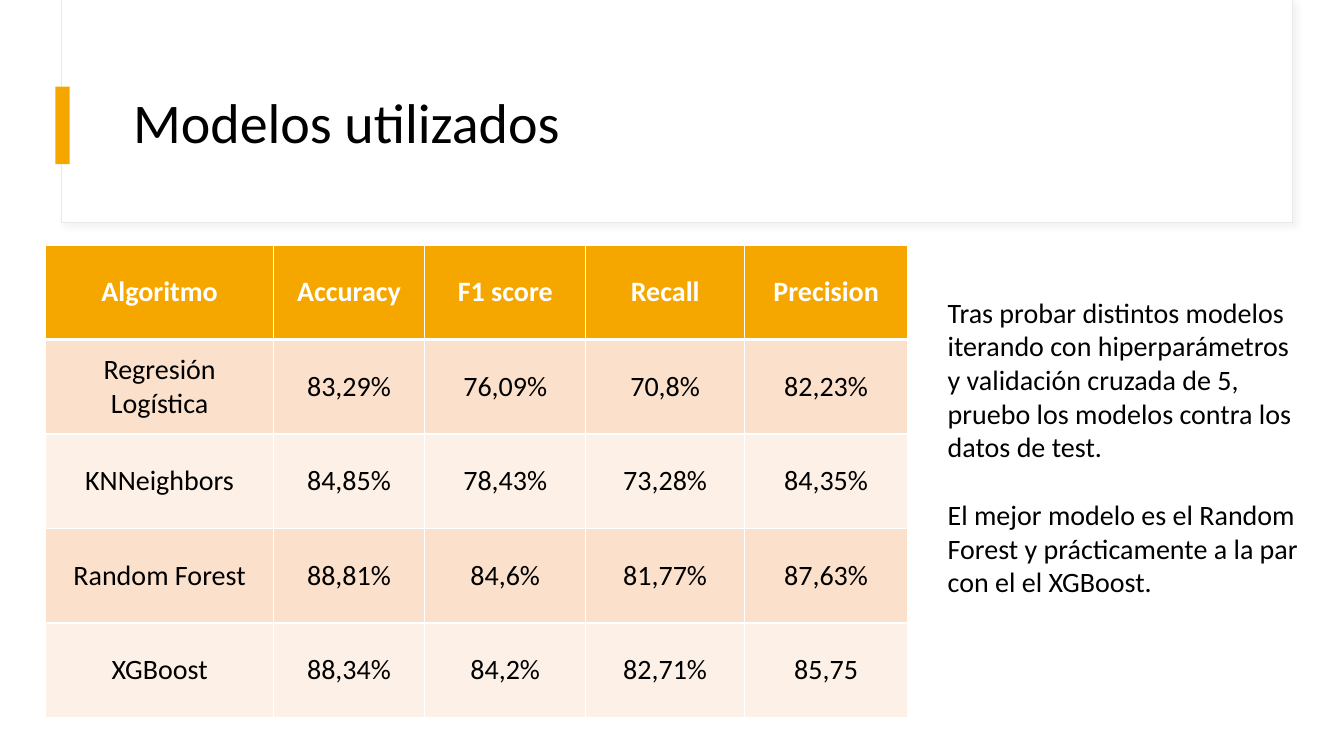
import collections
import pptx
import pptx.util
import pptx.dml.color
import pptx.enum.shapes
import pptx.enum.text
import pptx.oxml
import pptx.oxml.ns

Pt = pptx.util.Pt
Theme = collections.namedtuple(
    "Theme", "font ink paper gold peach cream edge shade big body")
theme = Theme("Calibri", "000000", "FFFFFF", "F5A700", "FBE1CC", "FDF1E7",
              "E9E9E9", "D9D9D9", 40, 20)
ROWS = [
    ["Algoritmo", "Accuracy", "F1 score", "Recall", "Precision"],
    ["Regresión Logística", "83,29%", "76,09%", "70,8%", "82,23%"],
    ["KNNeighbors", "84,85%", "78,43%", "73,28%", "84,35%"],
    ["Random Forest", "88,81%", "84,6%", "81,77%", "87,63%"],
    ["XGBoost", "88,34%", "84,2%", "82,71%", "85,75"],
]
COLS = [26.4, 17.55, 18.7, 18.4, 18.95]
NOTES = [
    "Tras probar distintos modelos iterando con hiperparámetros y validación "
    "cruzada de 5, pruebo los modelos contra los datos de test.",
    "El mejor modelo es el Random Forest y prácticamente a la par con el el "
    "XGBoost.",
]


def part(box, x, y, w, h):
    """Return the box at the given percentages of its parent box."""
    left, top, wide, high = box
    return (int(left + wide * x / 100), int(top + high * y / 100),
            int(wide * w / 100), int(high * h / 100))


def color(code):
    """Turn a hex code into a colour."""
    return pptx.dml.color.RGBColor.from_string(code)


def node(parent, tag, inner):
    """Append a drawing element written as XML."""
    space = pptx.oxml.ns.nsdecls("a")
    name = tag.split()[0]
    parent.append(pptx.oxml.parse_xml(f"<a:{tag} {space}>{inner}</a:{name}>"))


def write(para, text, size, ink, bold=False):
    """Add one styled run to a paragraph."""
    run = para.add_run()
    run.text = text
    run.font.name = theme.font
    run.font.size = Pt(size)
    run.font.bold = bold
    run.font.color.rgb = color(ink)


def block(slide, box, fill):
    """Draw a plain rectangle without line or shadow."""
    shape = slide.shapes.add_shape(
        pptx.enum.shapes.MSO_SHAPE.RECTANGLE, *box)
    shape.shadow.inherit = False
    shape.fill.solid()
    shape.fill.fore_color.rgb = color(fill)
    shape.line.fill.background()
    return shape


def label(slide, box):
    """Add a wrapping text box and return its frame."""
    frame = slide.shapes.add_textbox(*box).text_frame
    frame.word_wrap = True
    return frame


def header(slide, box, text):
    """Draw the framed heading with its accent bar."""
    card = block(slide, box, theme.paper)
    card.line.color.rgb = color(theme.edge)
    card.line.width = Pt(0.75)
    glow = card._element.spPr.find(pptx.oxml.ns.qn("a:effectLst"))
    node(glow, f'outerShdw blurRad="{Pt(4)}" dist="{Pt(3)}" dir="2700000"',
         f'<a:srgbClr val="{theme.shade}"><a:alpha val="30000"/></a:srgbClr>')
    block(slide, part(box, 0.08, 0, 99.84, 99.55), theme.paper)
    block(slide, part(box, -0.5, 38.9, 1.15, 34.84), theme.gold)
    frame = label(slide, part(box, 5, 27.15, 91.07, 58.4))
    frame.vertical_anchor = pptx.enum.text.MSO_ANCHOR.MIDDLE
    para = frame.paragraphs[0]
    para.line_spacing = 0.9
    write(para, text, theme.big, theme.ink)


def border(cell, side, width):
    """Give one side of a cell a white rule."""
    props = cell._tc.get_or_add_tcPr()
    node(props, f'{side} w="{Pt(width)}"',
         f'<a:solidFill><a:srgbClr val="{theme.paper}"/></a:solidFill>')


def scores(slide, box, rows):
    """Draw the table of model scores with banded rows."""
    table = slide.shapes.add_table(len(rows), len(COLS), *box).table
    for col, share in zip(table.columns, COLS):
        col.width = int(box[2] * share / 100)
    for r, row in enumerate(rows):
        table.rows[r].height = box[3] // len(rows)
        head = r == 0
        fill = theme.gold if head else (theme.cream, theme.peach)[r % 2]
        for c, text in enumerate(row):
            cell = table.cell(r, c)
            for side in ("lnL", "lnR", "lnT", "lnB"):
                thick = (side == "lnB" and head) or (side == "lnT" and r == 1)
                border(cell, side, 3 if thick else 1)
            cell.fill.solid()
            cell.fill.fore_color.rgb = color(fill)
            cell.vertical_anchor = pptx.enum.text.MSO_ANCHOR.MIDDLE
            para = cell.text_frame.paragraphs[0]
            para.alignment = pptx.enum.text.PP_ALIGN.CENTER
            write(para, text, theme.body,
                  theme.paper if head else theme.ink, head)


def notes(slide, box, texts):
    """Write the closing remarks, one line apart."""
    frame = label(slide, box)
    for i, text in enumerate(texts):
        para = frame.add_paragraph() if i else frame.paragraphs[0]
        para.space_before = Pt(theme.body * 1.22 if i else 0)
        write(para, text, theme.body, theme.ink)


def build():
    """Build the slide and save it."""
    deck = pptx.Presentation()
    deck.slide_width = pptx.util.Inches(13.33)
    deck.slide_height = pptx.util.Inches(7.5)
    slide = deck.slides.add_slide(deck.slide_layouts[6])
    page = (0, 0, deck.slide_width, deck.slide_height)
    header(slide, part(page, 4.58, 0, 91.6, 29.47), "Modelos utilizados")
    scores(slide, part(page, 3.41, 32.4, 64.14, 62.53), ROWS)
    notes(slide, part(page, 69.77, 38.4, 27.83, 50.67), NOTES)
    deck.save("out.pptx")


build()
